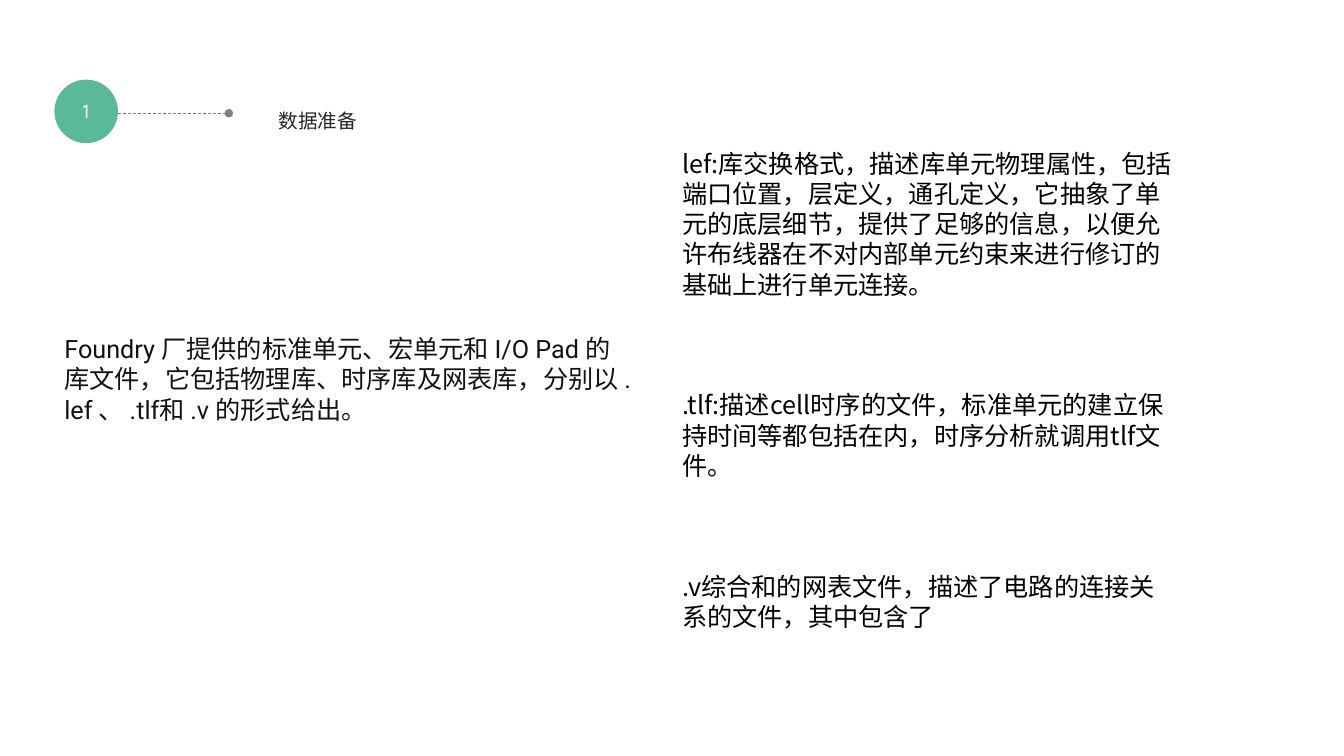
from lxml import etree
from pptx import Presentation
from pptx.dml.color import RGBColor
from pptx.enum.dml import MSO_LINE
from pptx.enum.shapes import MSO_CONNECTOR, MSO_SHAPE
from pptx.enum.text import MSO_ANCHOR, PP_ALIGN
from pptx.oxml.ns import qn
from pptx.util import Pt

CENTER, LEFT = PP_ALIGN.CENTER, PP_ALIGN.LEFT
MIDDLE = MSO_ANCHOR.MIDDLE
OVAL = MSO_SHAPE.OVAL
STRAIGHT = MSO_CONNECTOR.STRAIGHT
DASH = MSO_LINE.DASH

SANS = "Noto Sans CJK SC"
LIBRARY_NOTE = (
    "Foundry 厂提供的标准单元、宏单元和 I/O Pad 的库文件，它包括物理库、"
    "时序库及网表库，分别以 .lef 、 .tlf和 .v 的形式给出。"
)
FILE_NOTES = [
    "lef:库交换格式，描述库单元物理属性，包括端口位置，层定义，通孔定义，"
    "它抽象了单元的底层细节，提供了足够的信息，以便允许布线器在不对内部单元"
    "约束来进行修订的基础上进行单元连接。",
    ".tlf:描述cell时序的文件，标准单元的建立保持时间等都包括在内，"
    "时序分析就调用tlf文件。",
    ".v综合和的网表文件，描述了电路的连接关系的文件，其中包含了",
]


def color(value):
    return RGBColor.from_string(value)


def write(frame, texts, font, size, ink, gap=0, **formats):
    """Fill a frame with paragraphs, with a gap between neighbours."""
    frame.word_wrap = True
    for index, text in enumerate(texts):
        para = frame.add_paragraph() if index else frame.paragraphs[0]
        if index:
            para.space_before = Pt(gap)
        for name, value in formats.items():
            setattr(para, name, value)
        span = para.add_run()
        span.text = text
        for name, value in {"name": font, "size": Pt(size)}.items():
            setattr(span.font, name, value)
        span.font.color.rgb = color(ink)


def add_text(page, place, texts, font, size, ink, **formats):
    box = page.shapes.add_textbox(*map(Pt, place))
    write(box.text_frame, texts, font, size, ink, **formats)


def add_badge(page, place, number):
    badge = page.shapes.add_shape(OVAL, *map(Pt, place))
    badge.shadow.inherit = False
    badge.fill.solid()
    badge.fill.fore_color.rgb = color("5ABA98")
    badge.line.fill.background()
    badge.text_frame.vertical_anchor = MIDDLE
    write(badge.text_frame, [number], "Roboto Condensed", 13.4, "FFFFFF",
          alignment=CENTER)


def add_leader(page, ends):
    """Draw a dashed line that finishes in a dot."""
    leader = page.shapes.add_connector(STRAIGHT, *map(Pt, ends))
    leader.line.color.rgb = color("808080")
    leader.line.width = Pt(0.5)
    leader.line.dash_style = DASH
    properties = leader.line._get_or_add_ln()
    etree.SubElement(properties, qn("a:tailEnd"), type="oval")
    etree.SubElement(leader._element.spPr, qn("a:effectLst"))


def main():
    deck = Presentation()
    deck.slide_width, deck.slide_height = Pt(960), Pt(540)
    page = deck.slides.add_slide(deck.slide_layouts[6])

    # Numbered heading
    add_badge(page, (38.9, 56.9, 45.4, 45.4), "1")
    add_leader(page, (84.3, 80.9, 163.5, 80.9))
    add_text(page, (74.9, 70.6, 304.6, 62.6), ["数据准备"], SANS, 14, "262626",
             alignment=CENTER, line_spacing=1.2)

    # Library overview on the left, file formats on the right
    add_text(page, (38.9, 234.7, 418.3, 116.6), [LIBRARY_NOTE], "Roboto", 18,
             "121212", alignment=LEFT)
    add_text(page, (480.2, 102.2, 365.8, 356.4), FILE_NOTES, SANS, 18, "000000",
             gap=64.7, alignment=LEFT)

    deck.save("out.pptx")


if __name__ == "__main__":
    main()
